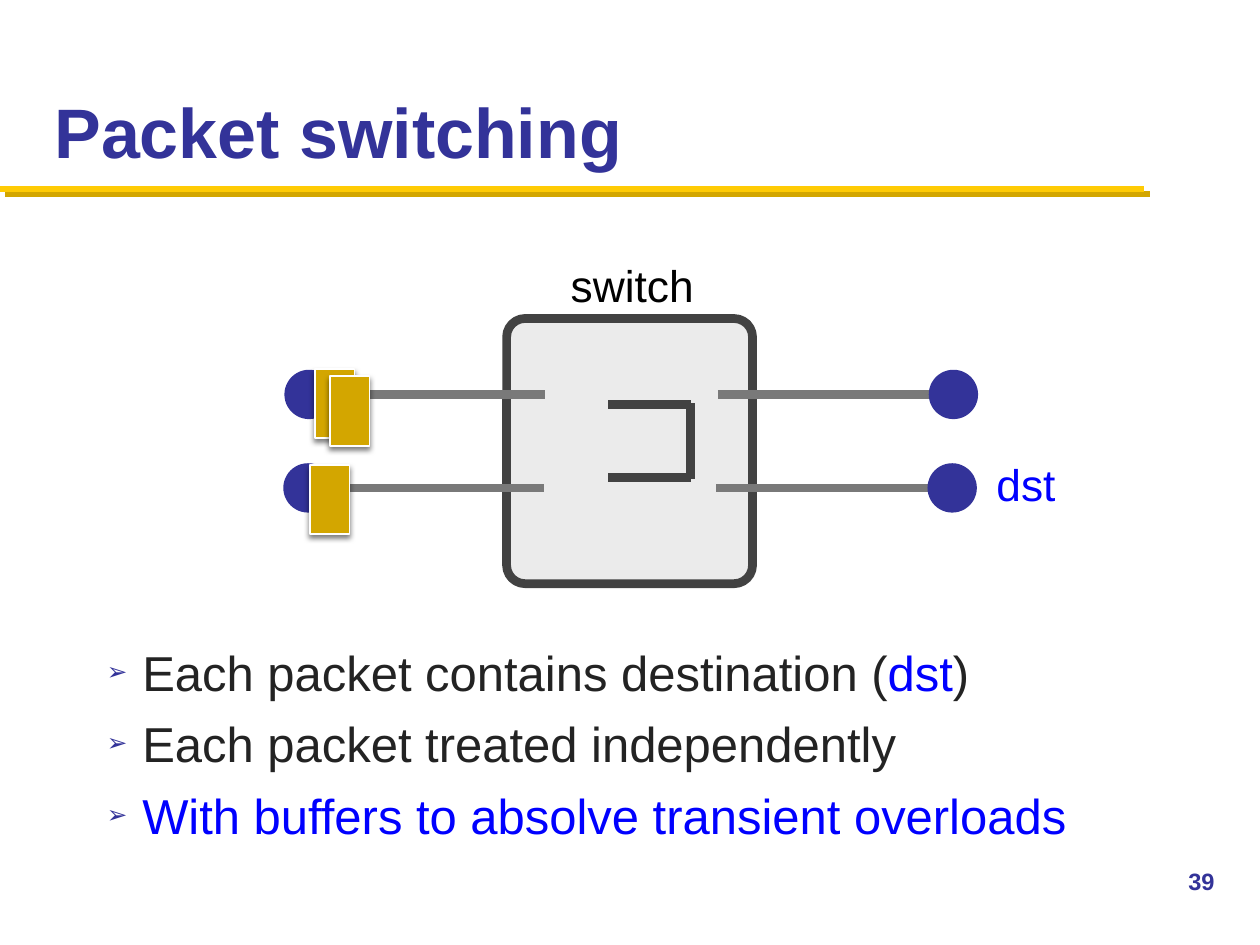
from pptx import Presentation
from pptx.dml.color import RGBColor
from pptx.enum.shapes import MSO_CONNECTOR as Connector, MSO_SHAPE as Shape
from pptx.enum.text import MSO_ANCHOR as Anchor
from pptx.oxml.xmlchemy import OxmlElement
from pptx.util import Pt

NAVY, BLUE, INK = "333399", "0000FF", "232323"
GOLD, YELLOW = "D3A600", "FFCB05"
DARK, GRAY, PALE = "424242", "797979", "EBEBEB"


def color(value):
    return RGBColor.from_string(value)


def add_child(parent, tag, **attributes):
    child = OxmlElement(tag)
    for name, value in attributes.items():
        child.set(name, str(value))
    parent.append(child)
    return child


def set_effects(item, shadow=None):
    """Replace theme effects by none, or by (colour, opacity %, blur, distance, angle)."""
    effects = add_child(item._element.spPr, "a:effectLst")
    if shadow:
        tint, opacity, blur, distance, angle = shadow
        outer = add_child(effects, "a:outerShdw", blurRad=Pt(blur), dist=Pt(distance),
                          dir=angle * 60000, algn="ctr", rotWithShape=0)
        fill = add_child(outer, "a:srgbClr", val=tint)
        add_child(fill, "a:alpha", val=opacity * 1000)


def add_line(shapes, x1, y1, x2, y2, tint, width=5, shadow=None):
    line = shapes.add_connector(Connector.STRAIGHT, Pt(x1), Pt(y1), Pt(x2), Pt(y2))
    line.line.color.rgb = color(tint)
    line.line.width = Pt(width)
    set_effects(line, shadow)


def add_figure(page, kind, left, top, width, height, fill, outline=None, weight=1, shadow=None):
    figure = page.shapes.add_shape(kind, Pt(left), Pt(top), Pt(width), Pt(height))
    figure.fill.solid()
    figure.fill.fore_color.rgb = color(fill)
    if outline:
        figure.line.color.rgb = color(outline)
        figure.line.width = Pt(weight)
    else:
        figure.line.fill.background()
    set_effects(figure, shadow)
    return figure


def add_box(page, left, top, width, height, anchor=Anchor.TOP, wrap=True, inset=(7.2, 3.6)):
    frame = page.shapes.add_textbox(Pt(left), Pt(top), Pt(width), Pt(height)).text_frame
    frame.word_wrap = wrap
    frame.vertical_anchor = anchor
    frame.margin_left = frame.margin_right = Pt(inset[0])
    frame.margin_top = frame.margin_bottom = Pt(inset[1])
    return frame


def add_span(para, text, size, tint, bold=False):
    span = para.add_run()
    span.text = text
    span.font.name = "Arial"
    span.font.size = Pt(size)
    span.font.bold = bold
    span.font.color.rgb = color(tint)


def add_bullet(para, indent=20.25):
    properties = para._p.get_or_add_pPr()
    properties.set("marL", str(Pt(indent)))
    properties.set("indent", str(-Pt(indent)))
    add_child(add_child(properties, "a:buClr"), "a:srgbClr", val=NAVY)
    add_child(properties, "a:buSzPct", val=50000)
    add_child(properties, "a:buFont", typeface="Arial")
    add_child(properties, "a:buChar", char="➢")


def add_header(page):
    add_line(page.shapes, 0, 108, 654, 108, YELLOW, 3.5, shadow=(GOLD, 100, 0, 4.2, 45))
    title = add_box(page, 24, 12, 672, 90, Anchor.BOTTOM)
    add_span(title.paragraphs[0], "Packet switching", 40, NAVY, bold=True)
    number = add_box(page, 672, 492, 48, 36)
    add_span(number.paragraphs[0], "39", 13.5, NAVY, bold=True)


def add_bullets(page):
    items = [
        [("Each packet contains destination (", INK), ("dst", BLUE), (")", INK)],
        [("Each packet treated independently", INK)],
        [("With buffers to absolve transient overloads", BLUE)],
    ]
    frame = add_box(page, 54, 363.5, 624, 120)
    for index, spans in enumerate(items):
        para = frame.paragraphs[0] if index == 0 else frame.add_paragraph()
        if index:
            para.space_before = Pt(7.2)
        add_bullet(para)
        for text, tint in spans:
            add_span(para, text, 28, tint)


def add_network(page):
    switch = add_figure(page, Shape.ROUNDED_RECTANGLE, 289.5, 182, 140.5, 151.5, PALE, DARK, 5)
    switch.adjustments[0] = 0.075

    host = 28.2
    # Each link: line start, host centre x, and y; every line is equally long.
    for start, center, y in [(180, 176.6, 225.4), (410.2, 544.8, 225.4),
                             (179.2, 176, 278.8), (409.2, 544.1, 278.8)]:
        add_line(page.shapes, start, y, start + 131.6, y, GRAY)
        add_figure(page, Shape.OVAL, center - host / 2, y - host / 2, host, host, NAVY)

    for left, top in [(180, 210.7), (188.6, 215), (177.2, 265.6)]:
        add_figure(page, Shape.RECTANGLE, left, top, 22.6, 39.8, GOLD, "FFFFFF",
                   shadow=("000000", 50, 3, 2, 90))

    for text, left, top, width, tint in [("switch", 323.3, 144.8, 76.3, "000000"),
                                         ("dst", 566.6, 258.2, 39.6, BLUE)]:
        label = add_box(page, left, top, width, 36, Anchor.MIDDLE, wrap=False, inset=(2.8, 2.8))
        add_span(label.paragraphs[0], text, 25.3, tint)

    queue = page.shapes.add_group_shape().shapes
    left, right, top, bottom = 347.6, 394.6, 231.2, 273
    add_line(queue, right, bottom + 0.7, right, top - 0.7, DARK)
    for y in (top, bottom):
        add_line(queue, left, y, right, y, DARK)


def main():
    deck = Presentation()
    deck.slide_width, deck.slide_height = Pt(720), Pt(540)
    page = deck.slides.add_slide(deck.slide_layouts[6])
    add_header(page)
    add_bullets(page)
    add_network(page)
    deck.save("out.pptx")


if __name__ == "__main__":
    main()
